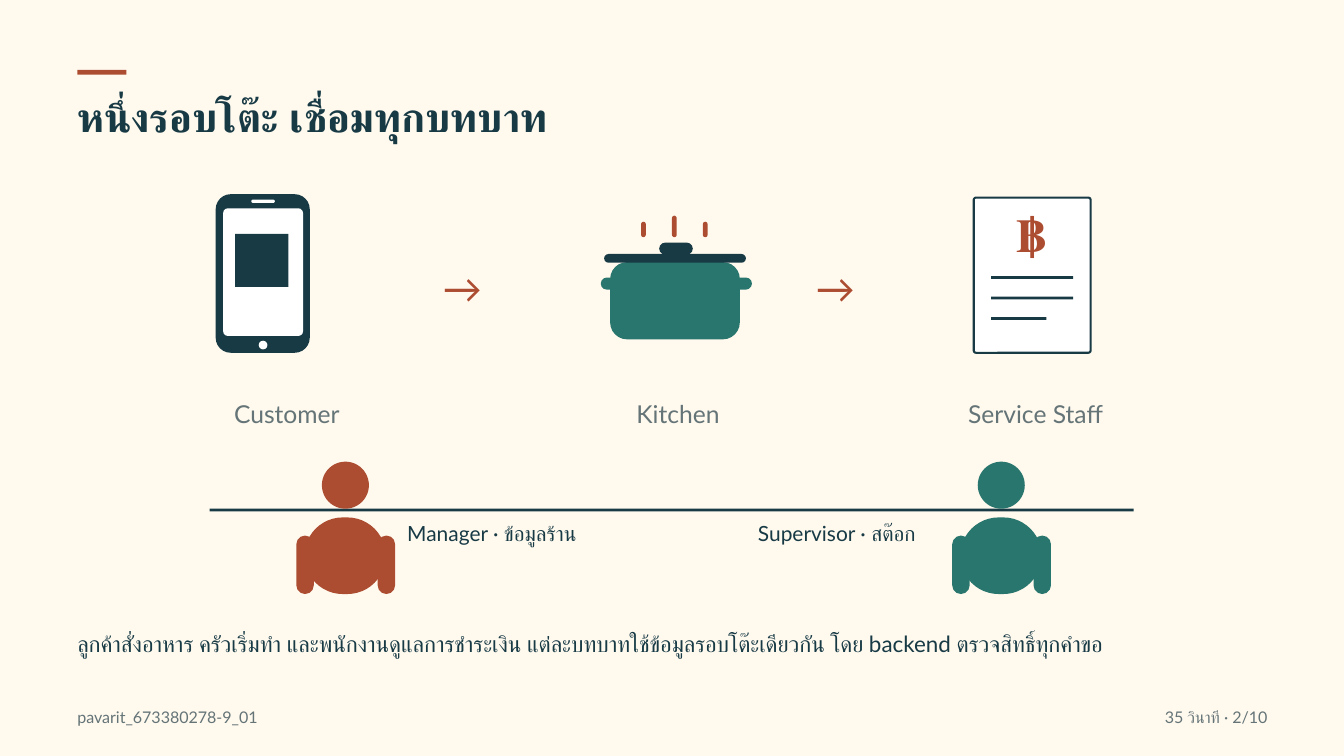
from dataclasses import dataclass

from pptx import Presentation
from pptx.dml.color import RGBColor
from pptx.enum.shapes import MSO_SHAPE
from pptx.enum.text import PP_ALIGN
from pptx.util import Inches, Pt

COLORS = {
    "cream": "FFF9EE",
    "navy": "173A45",
    "rust": "AC4D31",
    "teal": "28766D",
    "gray": "647477",
    "white": "FFFFFF",
}
FONT = "Lato"
COLUMNS, ROWS = 200, 112.5  # the slide as a grid of square cells
CELL = Inches(20) / COLUMNS


@dataclass
class Box:
    """A region of the grid; inner boxes are placed from its top left corner."""
    left: float
    top: float
    width: float
    height: float

    def inner(self, left, top, width, height):
        return Box(self.left + left, self.top + top, width, height)

    def lengths(self):
        cells = (self.left, self.top, self.width, self.height)
        return [round(cell * CELL) for cell in cells]


def color(name):
    return RGBColor.from_string(COLORS[name])


def add_block(slide, box, fill, kind=MSO_SHAPE.RECTANGLE, radius=None, line=None):
    shape = slide.shapes.add_shape(kind, *box.lengths())
    shape.shadow.inherit = False
    shape.fill.solid()
    shape.fill.fore_color.rgb = color(fill)
    if radius is not None:
        shape.adjustments[0] = radius
    if line:
        shape.line.color.rgb = color(line)
        shape.line.width = Pt(2.25)
    else:
        shape.line.fill.background()


def add_rounded(slide, box, fill, radius=0.5, line=None):
    add_block(slide, box, fill, MSO_SHAPE.ROUNDED_RECTANGLE, radius, line)


def add_oval(slide, box, fill):
    add_block(slide, box, fill, MSO_SHAPE.OVAL)


def add_label(slide, box, text, size, spacing, fill="navy",
              align=PP_ALIGN.LEFT, bold=False):
    text_frame = slide.shapes.add_textbox(*box.lengths()).text_frame
    text_frame.word_wrap = True
    text_frame.margin_left = text_frame.margin_right = 0
    text_frame.margin_top = text_frame.margin_bottom = 0
    text_frame.text = text
    paragraph = text_frame.paragraphs[0]
    paragraph.alignment = align
    paragraph.line_spacing = Pt(spacing)
    font = paragraph.runs[0].font
    font.name = FONT
    font.size = Pt(size)
    font.bold = bold
    font.color.rgb = color(fill)


def add_header(slide, box):
    add_block(slide, box.inner(0, 0, 7.3, 0.7), "rust")
    add_label(slide, box.inner(0, 2.5, box.width, 8.7),
              "หนึ่งรอบโต๊ะ เชื่อมทุกบทบาท", 43.5, 58.3, bold=True)


def add_phone(slide, box):
    add_rounded(slide, box, "navy", 0.16)
    add_rounded(slide, box.inner(1.1, 2.1, 11.9, 19), "white", 0.06)
    add_rounded(slide, box.inner(5.3, 0.8, 3.5, 0.5), "white")  # speaker
    add_oval(slide, box.inner(6.4, 21.8, 1.3, 1.3), "white")  # home button
    add_block(slide, box.inner(2.9, 5.9, 7.9, 7.9), "navy")  # code to scan


def add_pot(slide, box):
    add_rounded(slide, box.inner(1.4, 6.9, 19.3, 11.5), "teal", 0.22)
    for left in (0, 19.7):  # handles
        add_rounded(slide, box.inner(left, 9.2, 2.8, 1.8), "teal")
    add_rounded(slide, box.inner(0.5, 5.7, 21.1, 1.3), "navy")  # lid
    add_rounded(slide, box.inner(8.7, 4, 5, 1.8), "navy")  # knob
    for index, top in enumerate((0.9, 0, 0.9)):  # steam
        add_rounded(slide, box.inner(6 + 4.6 * index, top, 0.7, 3.2 - top), "rust")


def add_bill(slide, box):
    add_rounded(slide, box, "white", 0.02, line="navy")
    add_label(slide, box.inner(4.4, 0.2, 8.7, 10.2), "฿", 50.2, 67.2,
              "rust", PP_ALIGN.CENTER, bold=True)
    for index, width in enumerate((12.2, 12.2, 8.2)):
        add_block(slide, box.inner(2.6, 11.7 + 3.05 * index, width, 0.4), "navy")


def add_flow(slide, box):
    # Icons
    add_phone(slide, box.inner(5, 0, 14, 23.6))
    add_pot(slide, box.inner(62.3, 3.2, 22.5, 18.4))
    add_bill(slide, box.inner(117.8, 0.5, 17.4, 23.1))
    # Arrows between the steps
    for left in (33.9, 89.4):
        add_label(slide, box.inner(left, 9.5, 15.6, 8.5), "→", 42.2, 56.6,
                  "rust", PP_ALIGN.CENTER)
    # Role names
    for left, role in ((0, "Customer"), (58.2, "Kitchen"), (111.4, "Service Staff")):
        add_label(slide, box.inner(left, 29.9, 31.2, 5.3), role, 26.4, 35.4,
                  "gray", PP_ALIGN.CENTER)


def add_person(slide, box, fill):
    add_oval(slide, box.inner(3.8, 0, 7, 7), fill)
    add_rounded(slide, box.inner(1.2, 8.3, 12.1, 11.4), fill)
    for left in (0, 12.1):  # arms
        add_rounded(slide, box.inner(left, 11, 2.6, 8.7), fill)


def add_managers(slide, box):
    add_block(slide, box.inner(0, 7, box.width, 0.4), "navy")
    people = (
        (12.9, "rust", 29.4, "Manager · ข้อมูลร้าน"),
        (110.5, "teal", 81.6, "Supervisor · สต๊อก"),
    )
    for left, fill, label_left, label in people:
        add_person(slide, box.inner(left, 0, 14.6, 19.7), fill)
        add_label(slide, box.inner(label_left, 8.4, 50.4, 4.6), label, 22.4, 30.1)


def add_footer(slide, box):
    add_label(slide, box.inner(0, 0, box.width, 9.3),
              "ลูกค้าสั่งอาหาร ครัวเริ่มทำ และพนักงานดูแลการชำระเงิน "
              "แต่ละบทบาทใช้ข้อมูลรอบโต๊ะเดียวกัน โดย backend ตรวจสิทธิ์ทุกคำขอ",
              24, 32.2)
    add_label(slide, box.inner(0, 11.7, 130.2, 3.4), "pavarit_673380278-9_01",
              17.2, 23.1, "gray")
    add_label(slide, box.inner(box.width - 35.4, 11.7, 35.4, 3.4),
              "35 วินาที · 2/10", 17.2, 23.1, "gray", PP_ALIGN.RIGHT)


def main():
    presentation = Presentation()
    presentation.slide_width = round(COLUMNS * CELL)
    presentation.slide_height = round(ROWS * CELL)
    slide = presentation.slides.add_slide(presentation.slide_layouts[6])

    add_block(slide, Box(0, 0, COLUMNS, ROWS), "cream")
    add_header(slide, Box(11.5, 10.4, 178.1, 11.2))
    add_flow(slide, Box(27.1, 28.9, 142.6, 35.2))
    add_managers(slide, Box(31.2, 68.7, 137.5, 19.7))
    add_footer(slide, Box(11.5, 93.3, 177.1, 15.1))

    presentation.save("out.pptx")


if __name__ == "__main__":
    main()
